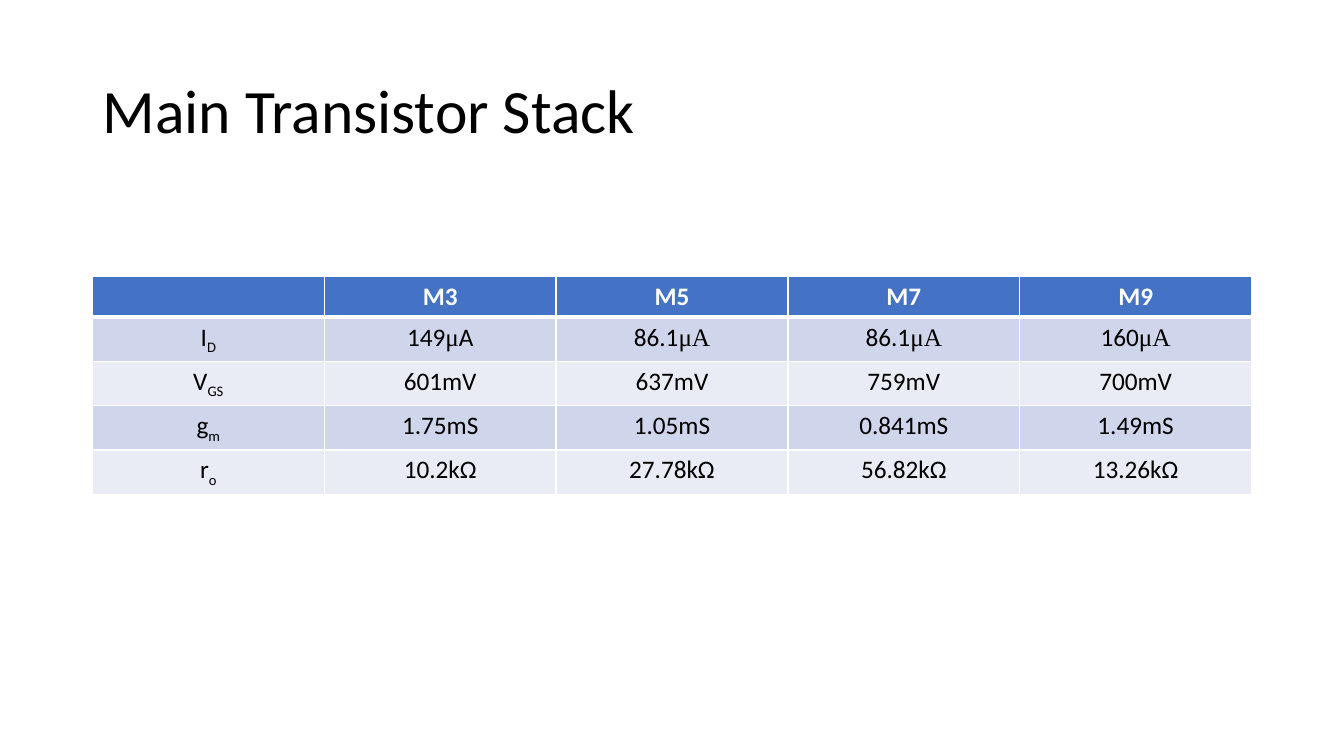
import lxml.etree
import pptx
import pptx.dml.color
import pptx.enum.text
import pptx.oxml.ns
import pptx.util

Cm = pptx.util.Cm
Pt = pptx.util.Pt

BLACK, WHITE = "000000", "FFFFFF"
HEADER_FILL = "4472C4"
BAND_FILLS = ("CFD5EA", "E9EBF5")
BODY_FONT, SYMBOL_FONT = "Calibri", "Times New Roman"

TRANSISTORS = ("", "M3", "M5", "M7", "M9")
PARAMETERS = (
    (("I", "D"), ("149", "μ", "A"), ("86.1", "μA"), ("86.1", "μA"), ("160", "μA")),
    (("V", "GS"), ("601mV",), ("637mV",), ("759mV",), ("700mV",)),
    (("g", "m"), ("1.75mS",), ("1.05mS",), ("0.841mS",), ("1.49mS",)),
    (("r", "o"), ("10.2kΩ",), ("27.78kΩ",), ("56.82kΩ",), ("13.26kΩ",)),
)


def color(value):
    """Return the colour for a hex string."""
    return pptx.dml.color.RGBColor.from_string(value)


def format_run(run, size, fill, bold=False):
    """Set font, size, colour and weight, with micro signs in the symbol font."""
    run.font.name = SYMBOL_FONT if "μ" in run.text else BODY_FONT
    run.font.size = Pt(size)
    run.font.color.rgb = color(fill)
    run.font.bold = bold


def add_border(cell, side, width):
    """Draw one white edge of a cell."""
    properties = cell._tc.get_or_add_tcPr()
    line = lxml.etree.SubElement(
        properties, pptx.oxml.ns.qn(f"a:ln{side}"), w=str(Pt(width))
    )
    solid = lxml.etree.SubElement(line, pptx.oxml.ns.qn("a:solidFill"))
    lxml.etree.SubElement(solid, pptx.oxml.ns.qn("a:srgbClr"), val=WHITE)


def format_cell(cell, row):
    """Give a cell its borders and its header or band fill."""
    widths = {"L": 1, "R": 1, "T": 3 if row == 1 else 1, "B": 3 if row == 0 else 1}
    for side, width in widths.items():
        add_border(cell, side, width)
    cell.fill.solid()
    cell.fill.fore_color.rgb = color(
        HEADER_FILL if row == 0 else BAND_FILLS[(row - 1) % 2]
    )


def write_cell(cell, parts, row, column):
    """Write centred runs, with the second part of a row label as subscript."""
    paragraph = cell.text_frame.paragraphs[0]
    paragraph.alignment = pptx.enum.text.PP_ALIGN.CENTER
    for index, part in enumerate(parts):
        run = paragraph.add_run()
        run.text = part
        format_run(run, 18, BLACK if row else WHITE, bold=row == 0)
        if column == 0 and index == 1:
            run.font._element.set("baseline", "-25000")


def place_title(slide, text, left, top, width, height):
    """Fill the title placeholder and fit it to the given box."""
    title = slide.shapes.title
    title.left, title.top, title.width, title.height = left, top, width, height
    frame = title.text_frame
    frame.text = text
    frame.auto_size = pptx.enum.text.MSO_AUTO_SIZE.NONE
    frame.vertical_anchor = pptx.enum.text.MSO_ANCHOR.MIDDLE
    paragraph = frame.paragraphs[0]
    paragraph.alignment = pptx.enum.text.PP_ALIGN.LEFT
    paragraph.line_spacing = 0.9
    format_run(paragraph.runs[0], 44, BLACK)


def add_parameter_table(slide, left, top, width, height):
    """Tabulate the transistor parameters in the given box."""
    header = tuple((name,) if name else () for name in TRANSISTORS)
    rows = (header,) + PARAMETERS
    table = slide.shapes.add_table(
        len(rows), len(header), left, top, width, height
    ).table
    for row, values in enumerate(rows):
        for column, parts in enumerate(values):
            cell = table.cell(row, column)
            format_cell(cell, row)
            write_cell(cell, parts, row, column)


def main():
    """Build and save the presentation."""
    presentation = pptx.Presentation()
    presentation.slide_width = Cm(33.87)
    presentation.slide_height = Cm(19.05)
    slide = presentation.slides.add_slide(presentation.slide_layouts[5])
    left, width = Cm(2.33), Cm(29.21)
    place_title(slide, "Main Transistor Stack", left, Cm(1.01), width, Cm(3.68))
    add_parameter_table(slide, left, Cm(6.96), width, Cm(5.15))
    presentation.save("out.pptx")


if __name__ == "__main__":
    main()
